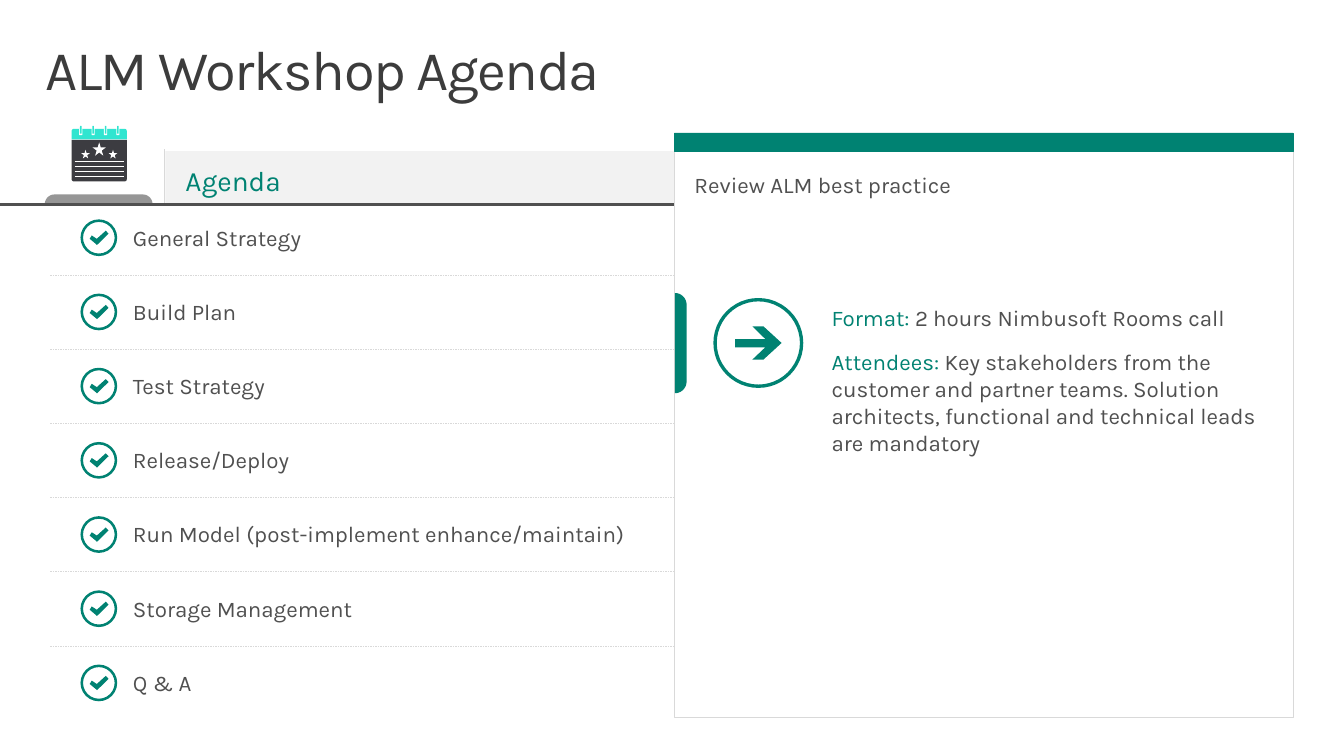
import math

import pptx
import pptx.dml.color
import pptx.enum.dml
import pptx.enum.shapes
import pptx.enum.text
import pptx.oxml.xmlchemy
import pptx.util

Pt = pptx.util.Pt
SHAPE = pptx.enum.shapes.MSO_SHAPE
ANCHOR = pptx.enum.text.MSO_ANCHOR

FONT = "Karla"
TEAL, GREY, PALE, WHITE = "008272", "505050", "D9D9D9", "FFFFFF"
CHECK = [(5, -5), (-1.4, 0.8), (-5, -1.6), (-6.5, 0.8),
         (-2, 4.5), (-1.3, 5.2), (0, 4), (7, -2.9)]
ARROW = [(-4.3, 11.9), (5, 3.1), (-16.6, 3.1), (-16.6, -2.8), (5, -2.8),
         (-4.3, -11.9), (3.6, -11.9), (16.6, 0), (3.6, 11.9)]
TOPICS = ["General Strategy", "Build Plan", "Test Strategy", "Release/Deploy",
          "Run Model (post-implement enhance/maintain)",
          "Storage Management", "Q & A"]
DETAILS = [
    ("Format: ", "2 hours Nimbusoft Rooms call"),
    ("Attendees: ", "Key stakeholders from the customer and partner teams. "
     "Solution architects, functional and technical leads are mandatory"),
]


def colour(hex_code):
    return pptx.dml.color.RGBColor.from_string(hex_code)


def paint(shape, fill=None, line=None, width=0.25):
    shape.shadow.inherit = False
    if fill:
        shape.fill.solid()
        shape.fill.fore_color.rgb = colour(fill)
    else:
        shape.fill.background()
    if line:
        shape.line.color.rgb = colour(line)
        shape.line.width = Pt(width)
    else:
        shape.line.fill.background()
    return shape


def add_preset(slide, kind, box, fill=None, line=None, width=0.25):
    shape = slide.shapes.add_shape(kind, *[Pt(v) for v in box])
    return paint(shape, fill, line, width)


def add_outline(slide, origin, points, fill):
    """Filled polygon, its points given relative to origin."""
    x, y = origin
    corners = [((x + dx) * 100, (y + dy) * 100) for dx, dy in points]
    builder = slide.shapes.build_freeform(*corners[0], scale=Pt(1) / 100)
    builder.add_line_segments(corners[1:], close=True)
    return paint(builder.convert_to_shape(), fill)


def corner(x, y, radius, start):
    """Points of a quarter arc around (x, y), from start degrees on."""
    angles = [math.radians(start + step * 10) for step in range(10)]
    return [(x + radius * math.cos(a), y + radius * math.sin(a)) for a in angles]


def add_rule(slide, start, end, line, width=0.25, dashed=False):
    rule = slide.shapes.add_connector(
        pptx.enum.shapes.MSO_CONNECTOR.STRAIGHT, *[Pt(v) for v in (*start, *end)])
    rule.line.color.rgb = colour(line)
    rule.line.width = Pt(width)
    if dashed:
        rule.line.dash_style = pptx.enum.dml.MSO_LINE.DASH
    rule._element.spPr.append(pptx.oxml.xmlchemy.OxmlElement("a:effectLst"))


def place(holder, box):
    holder.left, holder.top, holder.width, holder.height = [Pt(v) for v in box]


def set_frame(frame, insets, anchor=ANCHOR.TOP):
    frame.word_wrap = True
    frame.auto_size = pptx.enum.text.MSO_AUTO_SIZE.NONE
    frame.vertical_anchor = anchor
    (frame.margin_left, frame.margin_top,
     frame.margin_right, frame.margin_bottom) = [Pt(v) for v in insets]


def write(paragraph, words, size, ink):
    paragraph.alignment = pptx.enum.text.PP_ALIGN.LEFT
    run = paragraph.add_run()
    run.text = words
    run.font.name, run.font.size = FONT, Pt(size)
    run.font.color.rgb = colour(ink)
    return run


def paragraphs(frame, count):
    return [frame.paragraphs[0]] + [frame.add_paragraph() for _ in range(count - 1)]


def add_title(slide, box):
    title = slide.shapes.title
    place(title, box)
    set_frame(title.text_frame, (11.5, 7.2, 11.5, 7.2))
    line = title.text_frame.paragraphs[0]
    line.line_spacing = 0.9
    run = write(line, "ALM Workshop Agenda", 40, "3C3C3C")
    run._r.get_or_add_rPr().set("spc", "-100")


def add_calendar(slide, box):
    x, y, w, h = box
    # Band with four binder rings
    band = add_preset(slide, SHAPE.ROUND_2_SAME_RECTANGLE, (x, y + 2, w, 7.5), "30E5D0")
    band.adjustments[0] = 0.2
    for ring in range(4):
        middle = x + 6.5 + ring * 8.85
        for ring_w, top, ring_h, fill in ((2.2, 1.6, 5, WHITE), (1.1, 0, 5.4, "30E5D0")):
            add_preset(slide, SHAPE.ROUNDED_RECTANGLE,
                       (middle - ring_w / 2, y + top, ring_w, ring_h), fill)
    # Page with stars and ruled lines
    page = add_preset(slide, SHAPE.ROUND_2_SAME_RECTANGLE,
                      (x, y + 10, w, h - 10), "3C3C41")
    page.adjustments[0], page.adjustments[1] = 0, 0.05
    for offset, top, size in ((-9.8, 17, 6.2), (0, 11.8, 9.4), (9.8, 17, 6.2)):
        add_preset(slide, SHAPE.STAR_5_POINT,
                   (x + w / 2 + offset - size / 2, y + top, size, size), WHITE)
    for row in range(4):
        level = y + 25.3 + row * 3.6
        add_rule(slide, (x + 2.2, level), (x + w - 2.2, level), WHITE, 0.5)


def add_header(slide, box):
    x, y, w, h = box
    bar = add_preset(slide, SHAPE.RECTANGLE, (x + 118.1, y + 1.4, w - 118.1, h - 1.4), "F2F2F2")
    set_frame(bar.text_frame, (14.4, 7.2, 14.4, 3.6), ANCHOR.MIDDLE)
    write(bar.text_frame.paragraphs[0], "Agenda", 20, TEAL)
    add_rule(slide, (x + 117.4, y), (x + 117.4, y + h), PALE)
    # Stand below the calendar
    stand = [(0, 7), *corner(7, 7, 7, 180), *corner(70, 7, 7, 270)]
    add_outline(slide, (x + 32, y + h - 6.5), stand, "969696")
    add_rule(slide, (x, y + h + 0.7), (x + w, y + h + 0.7), GREY, 2.25)
    add_calendar(slide, (x + 51.2, y - 16.6, 39.4, 39.6))


def add_topics(slide, box):
    x, y, w, h = box
    pitch = h / len(TOPICS)
    # Topic list
    topics = slide.placeholders[1]
    place(topics, (x + 39.6, y, w - 39.6, h))
    set_frame(topics.text_frame, (55.4, 15.7, 7.2, 0))
    for line, topic in zip(paragraphs(topics.text_frame, len(TOPICS)), TOPICS):
        line.line_spacing = Pt(20)
        line.space_before, line.space_after = Pt(0), Pt(pitch - 20)
        write(line, topic, 16, GREY)
        props = line._p.get_or_add_pPr()
        props.set("marL", "0")
        props.set("indent", "0")
        props.append(pptx.oxml.xmlchemy.OxmlElement("a:buNone"))
    # Badges and separators
    for row in range(len(TOPICS)):
        top = y + row * pitch
        if row:
            add_rule(slide, (x + 36, top), (x + w, top), PALE, dashed=True)
        add_badge(slide, (x + 70.6, top + pitch / 2), 24.4, 1.8, CHECK)


def add_badge(slide, centre, size, width, symbol):
    x, y = centre
    add_preset(slide, SHAPE.OVAL, (x - size / 2, y - size / 2, size, size),
               line=TEAL, width=width)
    add_outline(slide, centre, symbol, TEAL)


def add_review_card(slide, box):
    x, y, w, h = box
    panel = add_preset(slide, SHAPE.RECTANGLE, (x, y + 13, w, h - 13), WHITE, PALE)
    set_frame(panel.text_frame, (14.4, 14.4, 14.4, 14.4))
    write(panel.text_frame.paragraphs[0], "Review ALM best practice", 16, GREY)
    add_preset(slide, SHAPE.RECTANGLE, (x, y, w, 13), TEAL, TEAL)
    # Side tab and arrow
    tab = [(0, 0), *corner(0, 8.4, 8.4, 270), *corner(0, 63.2, 8.4, 0)]
    add_outline(slide, (x + 0.4, y + 114.3), tab, TEAL)
    add_badge(slide, (x + 60, y + 150), 61.8, 2.4, ARROW)
    # Format and attendees
    details = slide.shapes.add_textbox(*[Pt(v) for v in (x + 97.9, y + 115.2, w - 97.9, 131)])
    set_frame(details.text_frame, (14.4, 7.2, 7.2, 7.2))
    for line, (label, words) in zip(paragraphs(details.text_frame, len(DETAILS)), DETAILS):
        line.space_before = line.space_after = Pt(6)
        write(line, label, 16, TEAL)
        write(line, words, 16, GREY)


def main():
    deck = pptx.Presentation()
    deck.slide_width, deck.slide_height = Pt(960), Pt(540)
    slide = deck.slides.add_slide(deck.slide_layouts[1])
    add_title(slide, (20.9, 23, 918, 70.6))
    add_header(slide, (0, 106.6, 481.7, 38.8))
    add_topics(slide, (0, 143.3, 481.7, 371))
    add_review_card(slide, (481.7, 95, 442.1, 417.6))
    deck.save("out.pptx")


if __name__ == "__main__":
    main()
